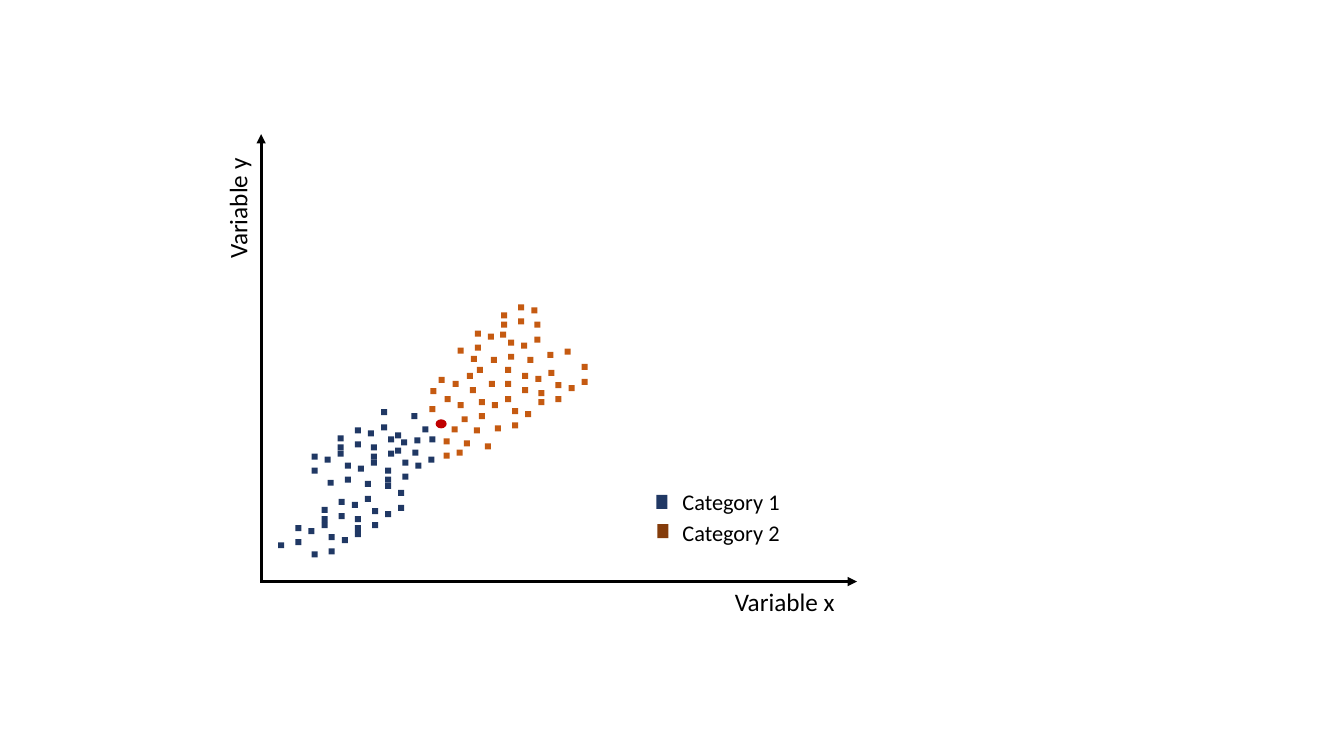
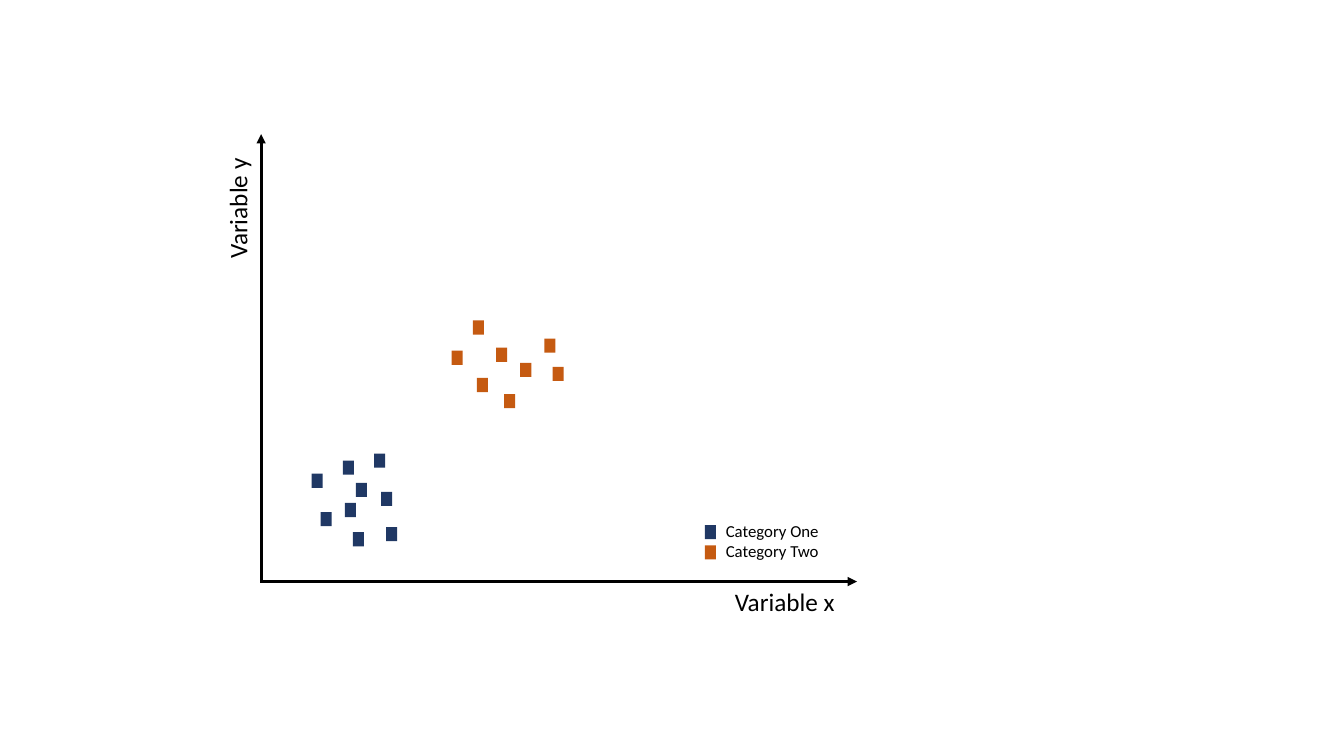
from dataclasses import dataclass

from lxml import etree
from pptx import Presentation
from pptx.dml.color import RGBColor
from pptx.enum.shapes import MSO_CONNECTOR, MSO_SHAPE
from pptx.enum.text import MSO_AUTO_SIZE
from pptx.oxml.ns import qn
from pptx.util import Inches, Pt

STRAIGHT = MSO_CONNECTOR.STRAIGHT
SQUARE = MSO_SHAPE.RECTANGLE
OVAL = MSO_SHAPE.OVAL
GROW = MSO_AUTO_SIZE.SHAPE_TO_FIT_TEXT


@dataclass(frozen=True)
class Theme:
    font: str = "Calibri"
    ink: str = "000000"
    navy: str = "203864"
    orange: str = "C55A11"
    brown: str = "843C0B"
    red: str = "C00000"
    axis_size: int = 18
    legend_size: int = 16
    small_legend_size: int = 12
    axis_width: float = 2.25
    dot: tuple = (0.06, 0.06)
    marker: tuple = (0.11, 0.14)
    center: tuple = (0.11, 0.09)


THEME = Theme()

AXIS_LEFT, AXIS_RIGHT = 2.59, 8.5
AXIS_TOP, AXIS_FLOOR = 1.33, 5.77
CORNER_OVERLAP = 0.01

GROUP = {
    "a": (0, 0), "b": (0.17, -0.17), "c": (0.43, -0.2),
    "d": (0.17, -0.03), "e": (0.43, -0.35), "f": (0.3, -0.14),
}
WHOLE = "abcdef"
TWIN_STEP = (0.33, 0.09)
PAIR_STEP = (0.43, -0.26)

NAVY_BLOCKS = {
    (2.76, 5.38): (WHOLE, WHOLE, WHOLE, WHOLE),
    (2.92, 4.67): ("bcdef", WHOLE, WHOLE, "abdf"),
    (3.06, 4.9): ("", "ce", "ce", "abcdf"),
}
NAVY_LOOSE = [(4.08, 4.1), (4.09, 4.46), (4.11, 4.34), (4.19, 4.23), (4.26, 4.33)]

ORANGE_BLOCKS = {
    (4.58, 4.13): (WHOLE, "abdef", "bcdf", WHOLE),
    (4.54, 3.45): ("abdef", WHOLE, "abdf", ""),
}
ORANGE_LOOSE = [
    (4.26, 4.03), (4.27, 3.85), (4.35, 3.74), (4.4, 4.35), (4.4, 4.49),
    (4.41, 3.93), (4.48, 4.23), (4.49, 3.78), (4.53, 4.46), (4.54, 3.99),
    (4.6, 4.37), (4.63, 3.7), (4.66, 3.84), (4.67, 3.53), (4.7, 4.24),
    (4.73, 3.64), (4.81, 4.4), (4.85, 3.78), (4.96, 3.29), (5.01, 3.64),
    (5.23, 3.54), (5.43, 3.49), (5.6, 3.46),
]
CENTER_POINT = (4.32, 4.16)

SPARSE_NAVY = [
    (3.09, 4.7), (3.18, 5.08), (3.4, 4.57), (3.42, 4.99), (3.5, 5.28),
    (3.53, 4.79), (3.71, 4.5), (3.78, 4.88), (3.83, 5.23),
]
SPARSE_ORANGE = [
    (4.48, 3.48), (4.69, 3.18), (4.73, 3.75), (4.92, 3.45),
    (5, 3.91), (5.16, 3.6), (5.4, 3.36), (5.48, 3.64),
]


def shifted(start, step, times=1):
    return start[0] + times * step[0], start[1] + times * step[1]


def block_points(blocks):
    positions = []
    for corner, kept_members in blocks.items():
        for number, members in enumerate(kept_members):
            pair, twin = divmod(number, 2)
            start = shifted(shifted(corner, PAIR_STEP, pair), TWIN_STEP, twin)
            positions += [shifted(start, GROUP[member]) for member in members]
    return positions


class ScatterDeck:
    """Draw scatter diagrams in one theme on the current slide."""

    def __init__(self, theme):
        self.theme = theme
        self.deck = Presentation()
        self.deck.slide_width = Inches(13.33)
        self.deck.slide_height = Inches(7.5)
        self.slide = None

    def new_diagram(self):
        self.slide = self.deck.slides.add_slide(self.deck.slide_layouts[6])
        self.arrow((AXIS_LEFT, AXIS_FLOOR + CORNER_OVERLAP), (AXIS_LEFT, AXIS_TOP))
        self.arrow((AXIS_LEFT, AXIS_FLOOR), (AXIS_RIGHT, AXIS_FLOOR))
        self.label(["Variable x"], (7.19, 5.77, 1.31, 0.4), self.theme.axis_size)
        self.label(["Variable y"], (1.68, 1.79, 1.35, 0.4), self.theme.axis_size, 270)

    def arrow(self, start, end):
        ends = [Inches(value) for value in (*start, *end)]
        axis = self.slide.shapes.add_connector(STRAIGHT, *ends)
        axis.line.color.rgb = RGBColor.from_string(self.theme.ink)
        axis.line.width = Pt(self.theme.axis_width)
        properties = axis._element.spPr
        etree.SubElement(properties.find(qn("a:ln")), qn("a:tailEnd"), type="triangle")
        etree.SubElement(properties, qn("a:effectLst"))

    def label(self, lines, box, size, rotation=0):
        caption = self.slide.shapes.add_textbox(*[Inches(value) for value in box])
        caption.rotation = rotation
        frame = caption.text_frame
        frame.word_wrap = True
        frame.auto_size = GROW
        frame.text = "\n".join(lines)
        for paragraph in frame.paragraphs:
            paragraph.font.name = self.theme.font
            paragraph.font.size = Pt(size)
            paragraph.font.color.rgb = RGBColor.from_string(self.theme.ink)

    def points(self, positions, size, color, outline=SQUARE):
        for position in positions:
            box = [Inches(value) for value in (*position, *size)]
            point = self.slide.shapes.add_shape(outline, *box)
            point.shadow.inherit = False
            point.fill.solid()
            point.fill.fore_color.rgb = RGBColor.from_string(color)
            point.line.fill.background()

    def legend_markers(self, first, step, colors):
        for row, color in enumerate(colors):
            self.points([shifted(first, step, row)], self.theme.marker, color)


def dense_clusters(deck):
    theme = deck.theme
    deck.new_diagram()
    deck.points(block_points(NAVY_BLOCKS) + NAVY_LOOSE, theme.dot, theme.navy)
    deck.points(block_points(ORANGE_BLOCKS) + ORANGE_LOOSE, theme.dot, theme.orange)
    deck.points([CENTER_POINT], theme.center, theme.red, OVAL)
    for row, category in enumerate(("Category 1", "Category 2")):
        deck.label([category], (6.67, 4.79 + row * 0.31, 1.47, 0.37), theme.legend_size)
    deck.legend_markers((6.51, 4.91), (0.01, 0.29), (theme.navy, theme.brown))


def sparse_clusters(deck):
    theme = deck.theme
    deck.new_diagram()
    deck.points(SPARSE_NAVY, theme.marker, theme.navy)
    deck.points(SPARSE_ORANGE, theme.marker, theme.orange)
    categories = ["Category One", "Category Two"]
    deck.label(categories, (7.1, 5.12, 2.02, 0.5), theme.small_legend_size)
    deck.legend_markers((6.99, 5.21), (0, 0.2), (theme.navy, theme.orange))


def main():
    scatter = ScatterDeck(THEME)
    dense_clusters(scatter)
    sparse_clusters(scatter)
    scatter.deck.save("out.pptx")


if __name__ == "__main__":
    main()
